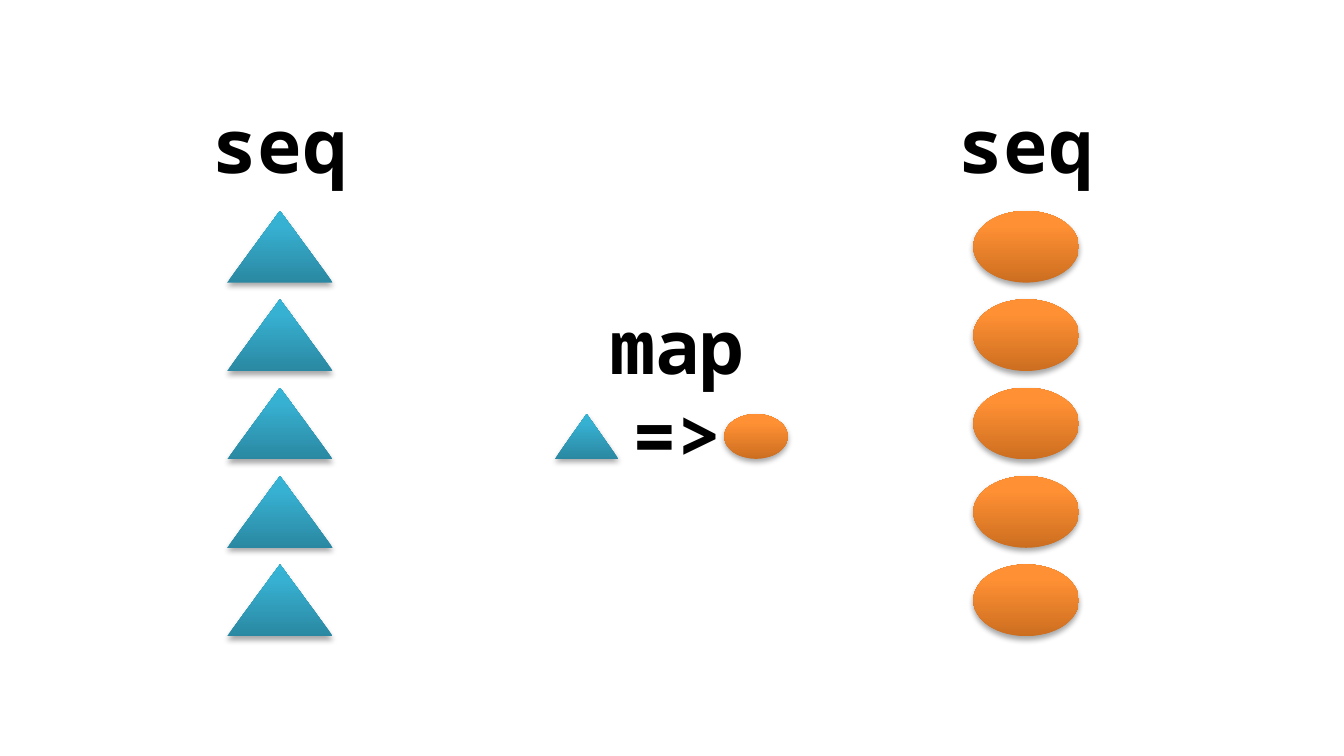
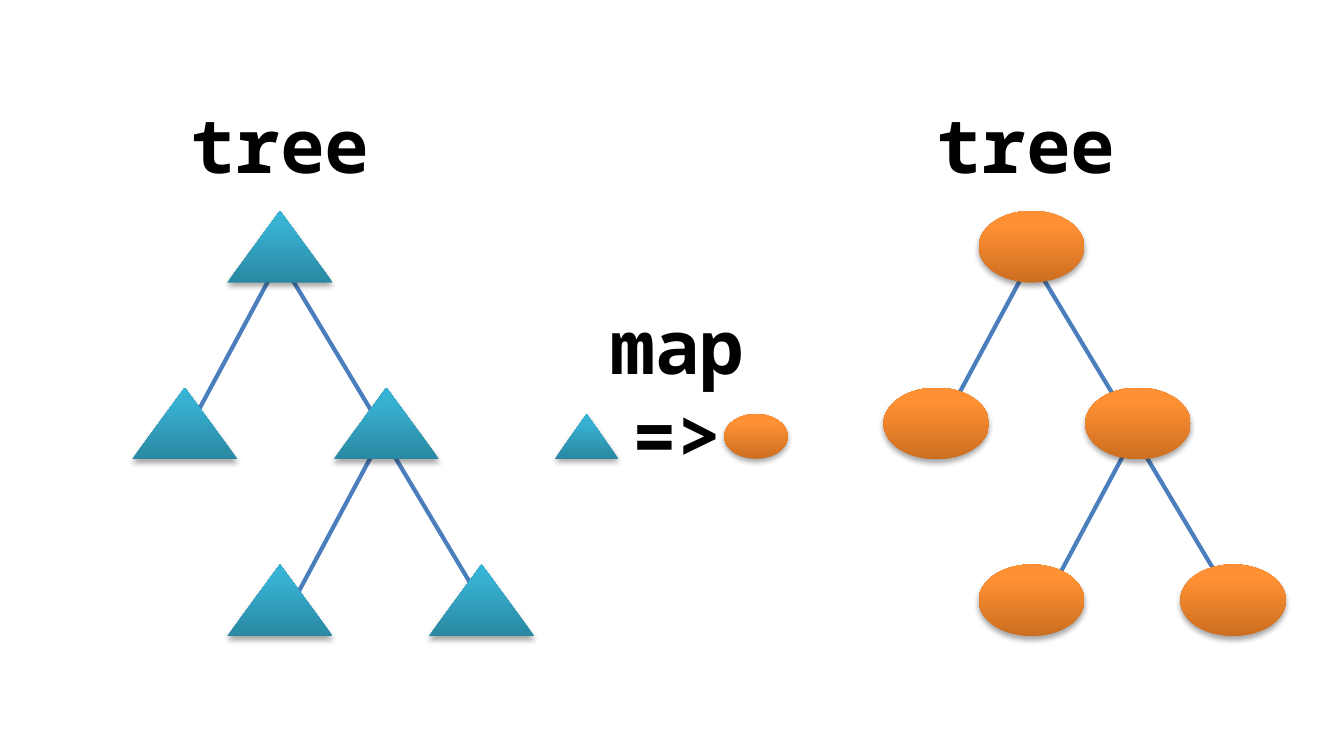
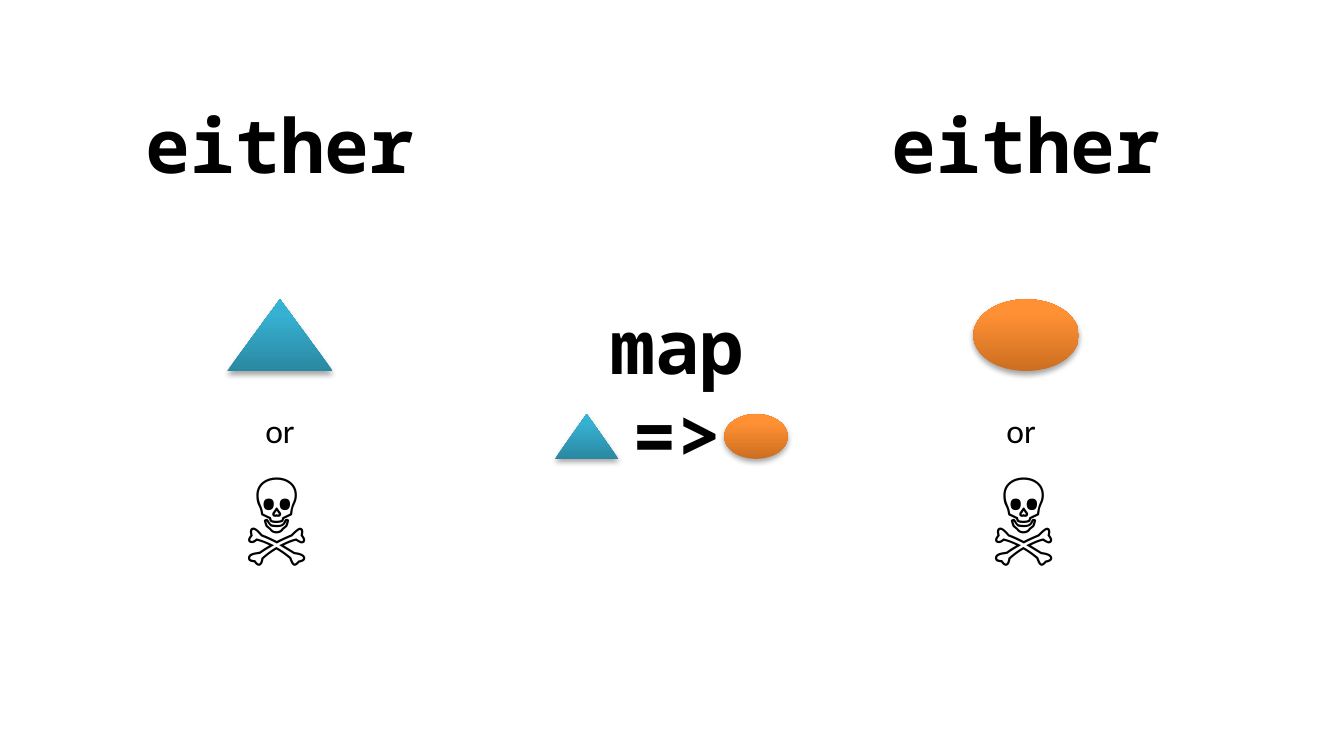
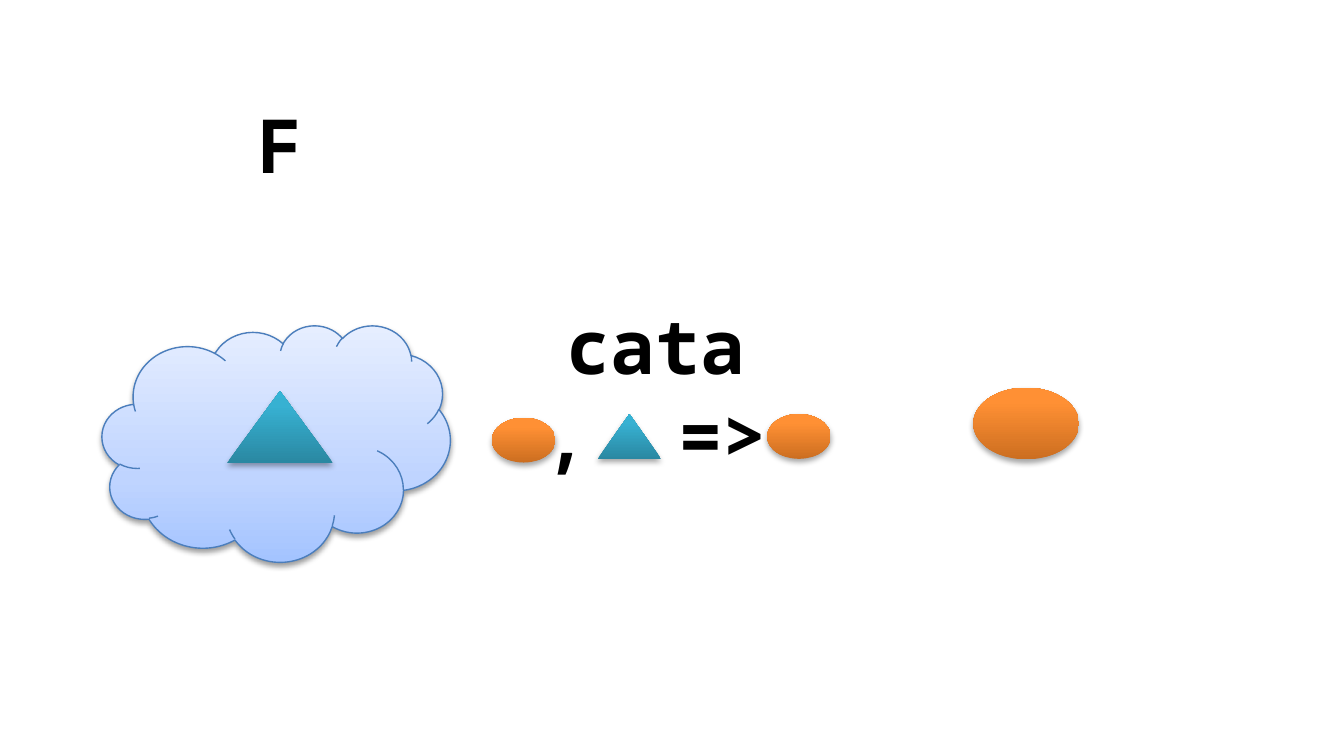
"""Build four slides that show map over a sequence, a tree and an either, and cata over F."""

from lxml.etree import SubElement
from pptx import Presentation
from pptx.dml.color import RGBColor
from pptx.enum.shapes import MSO_CONNECTOR, MSO_SHAPE
from pptx.enum.text import MSO_AUTO_SIZE, PP_ALIGN
from pptx.oxml import parse_xml
from pptx.oxml.ns import nsdecls, qn
from pptx.util import Pt

COLOURS = {"text": "000000", "line": "4B7EBC", "shadow": "000000"}
KINDS = {
    "triangle": {
        "preset": MSO_SHAPE.ISOSCELES_TRIANGLE,
        "stops": [(0, "2A88A2"), (80, "37B1D2"), (100, "34B4D6")],
        "shadow": (35, 1.8),
        "outline": 0,
    },
    "ellipse": {
        "preset": MSO_SHAPE.OVAL,
        "stops": [(0, "CC6E20"), (80, "FF9034"), (100, "FF9136")],
        "shadow": (35, 1.8),
        "outline": 0,
    },
    "cloud": {
        "preset": MSO_SHAPE.CLOUD,
        "stops": [(0, "A4C4FF"), (35, "BFD4FF"), (100, "E6EEFF")],
        "shadow": (38, 1.6),
        "outline": 0.75,
    },
}
STYLES = {
    "code": {"name": "Noto Sans Mono", "size": Pt(40), "bold": True},
    "word": {"name": "Calibri", "size": Pt(18), "bold": False},
    "symbol": {"name": "Calibri", "size": Pt(48), "bold": False},
}

LEFT, RIGHT = 150, 549.7
SIDES = [("triangle", LEFT), ("ellipse", RIGHT)]
LARGE, SMALL = (56.6, 38.4), (34, 24)
FIRST_ROW, PITCH = 113, 47.35
SMALL_ROW = 221.8

MAP = {
    "lines": [[("map", 0)], [("=>", 0)]],
    "middle": 363,
    "items": [("triangle", 314.3, 0), ("ellipse", 405, 0)],
}
CATA = {
    "lines": [[("cata", 0)], [(", ", 12), ("=>", 0)]],
    "middle": 351.3,
    "items": [("triangle", 337.2, 0), ("ellipse", 428, 0), ("ellipse", 280.5, 2)],
}

TREE_ROOTS = [("triangle", 150), ("ellipse", 552.6)]
TREE_NODES = [(0, 0), (-51, 2), (57, 2), (0, 4), (108, 4)]
TREE_EDGES = [(2, 4, -2.2, 3.4), (2, 3, -2.2, 4), (0, 2, 0, 0), (0, 1, 0, 0)]
EDGE_DROP = 6.6

EITHER_TEXTS = [
    ("☠", "symbol", (148.3, 548.6), 242, 144, 65.5),
    ("or", "word", (150, 547), 216, 57, 28.8),
]


def row_top(row):
    """Return the top of a row of large figures."""
    return FIRST_ROW + row * PITCH


def add_text(page, lines, style, middle, top, width, height):
    """Add a centred text box whose lines are lists of (text, letter spacing)."""
    box = page.shapes.add_textbox(Pt(middle - width / 2), Pt(top), Pt(width), Pt(height))
    frame = box.text_frame
    frame.word_wrap = True
    frame.auto_size = MSO_AUTO_SIZE.SHAPE_TO_FIT_TEXT
    for index, line in enumerate(lines):
        para = frame.paragraphs[0] if index == 0 else frame.add_paragraph()
        para.alignment = PP_ALIGN.CENTER
        for text, spacing in line:
            span = para.add_run()
            span.text = text
            span.font.color.rgb = RGBColor.from_string(COLOURS["text"])
            for name, value in STYLES[style].items():
                setattr(span.font, name, value)
            if spacing:
                span.font._element.set("spc", str(spacing * 100))


def add_heading(page, text, middle):
    """Add the name of a structure above its column."""
    add_text(page, [[(text, 0)]], "code", middle, 49.7, 164, 55.4)


def set_gradient(shape, stops):
    """Fill a shape with a gradient that runs from bottom to top."""
    marks = "".join(
        f'<a:gs pos="{place * 1000}"><a:srgbClr val="{colour}"/></a:gs>'
        for place, colour in stops
    )
    fill = parse_xml(
        f'<a:gradFill {nsdecls("a")} rotWithShape="1"><a:gsLst>{marks}</a:gsLst>'
        '<a:lin ang="16200000" scaled="0"/></a:gradFill>'
    )
    shape._element.spPr.find(qn("a:prstGeom")).addnext(fill)


def set_shadow(shape, opacity, distance):
    """Give a shape a soft shadow below it."""
    shape.shadow.inherit = False
    effects = shape._element.spPr.find(qn("a:effectLst"))
    shadow = SubElement(
        effects, qn("a:outerShdw"), blurRad=str(Pt(3.1)), dist=str(Pt(distance)),
        dir="5400000", rotWithShape="0",
    )
    colour = SubElement(shadow, qn("a:srgbClr"), val=COLOURS["shadow"])
    SubElement(colour, qn("a:alpha"), val=str(opacity * 1000))


def add_figure(page, kind, middle, top, size=LARGE):
    """Add a figure centred on a horizontal position."""
    look = KINDS[kind]
    width, height = size
    shape = page.shapes.add_shape(
        look["preset"], Pt(middle - width / 2), Pt(top), Pt(width), Pt(height)
    )
    set_gradient(shape, look["stops"])
    if look["outline"]:
        shape.line.color.rgb = RGBColor.from_string(COLOURS["line"])
        shape.line.width = Pt(look["outline"])
    else:
        shape.line.fill.background()
    set_shadow(shape, *look["shadow"])


def add_function(page, function):
    """Add the function name with its small argument and result figures."""
    add_text(page, function["lines"], "code", function["middle"], 157, 164, 104.4)
    for kind, middle, drop in function["items"]:
        add_figure(page, kind, middle, SMALL_ROW + drop, SMALL)


def add_tree(page, kind, root):
    """Add the edges of a tree and then its nodes."""
    nodes = [(root + offset, row_top(row)) for offset, row in TREE_NODES]
    drop = LARGE[1] / 2 + EDGE_DROP
    for parent, child, start_shift, end_shift in TREE_EDGES:
        (start, start_top), (end, end_top) = nodes[parent], nodes[child]
        edge = page.shapes.add_connector(
            MSO_CONNECTOR.STRAIGHT,
            Pt(start + start_shift), Pt(start_top + drop),
            Pt(end + end_shift), Pt(end_top + drop),
        )
        edge.line.color.rgb = RGBColor.from_string(COLOURS["line"])
        edge.line.width = Pt(2.25)
        SubElement(edge._element.spPr, qn("a:effectLst"))
    for middle, top in nodes:
        add_figure(page, kind, middle, top)


def draw_sequence(page):
    """Draw map over a sequence."""
    for kind, middle in SIDES:
        add_heading(page, "seq", middle)
        for row in range(5):
            add_figure(page, kind, middle, row_top(row))
    add_function(page, MAP)


def draw_tree(page):
    """Draw map over a tree."""
    for (kind, root), (_, middle) in zip(TREE_ROOTS, SIDES):
        add_heading(page, "tree", middle)
        add_tree(page, kind, root)
    add_function(page, MAP)


def draw_either(page):
    """Draw map over an either."""
    for text, style, middles, *frame in EITHER_TEXTS:
        for middle in middles:
            add_text(page, [[(text, 0)]], style, middle, *frame)
    for kind, middle in SIDES:
        add_heading(page, "either", middle)
        add_figure(page, kind, middle, row_top(1))
    add_function(page, MAP)


def draw_cata(page):
    """Draw cata, which folds F into one value."""
    add_figure(page, "cloud", 148, 174.2, (186.5, 126.7))
    add_heading(page, "F", LEFT)
    add_figure(page, "triangle", LEFT, 209.5)
    add_figure(page, "ellipse", RIGHT, row_top(2))
    add_function(page, CATA)


def main():
    """Build and save the deck."""
    deck = Presentation()
    deck.slide_width, deck.slide_height = Pt(720), Pt(405)
    for draw in (draw_sequence, draw_tree, draw_either, draw_cata):
        draw(deck.slides.add_slide(deck.slide_layouts[6]))
    deck.save("out.pptx")


if __name__ == "__main__":
    main()
